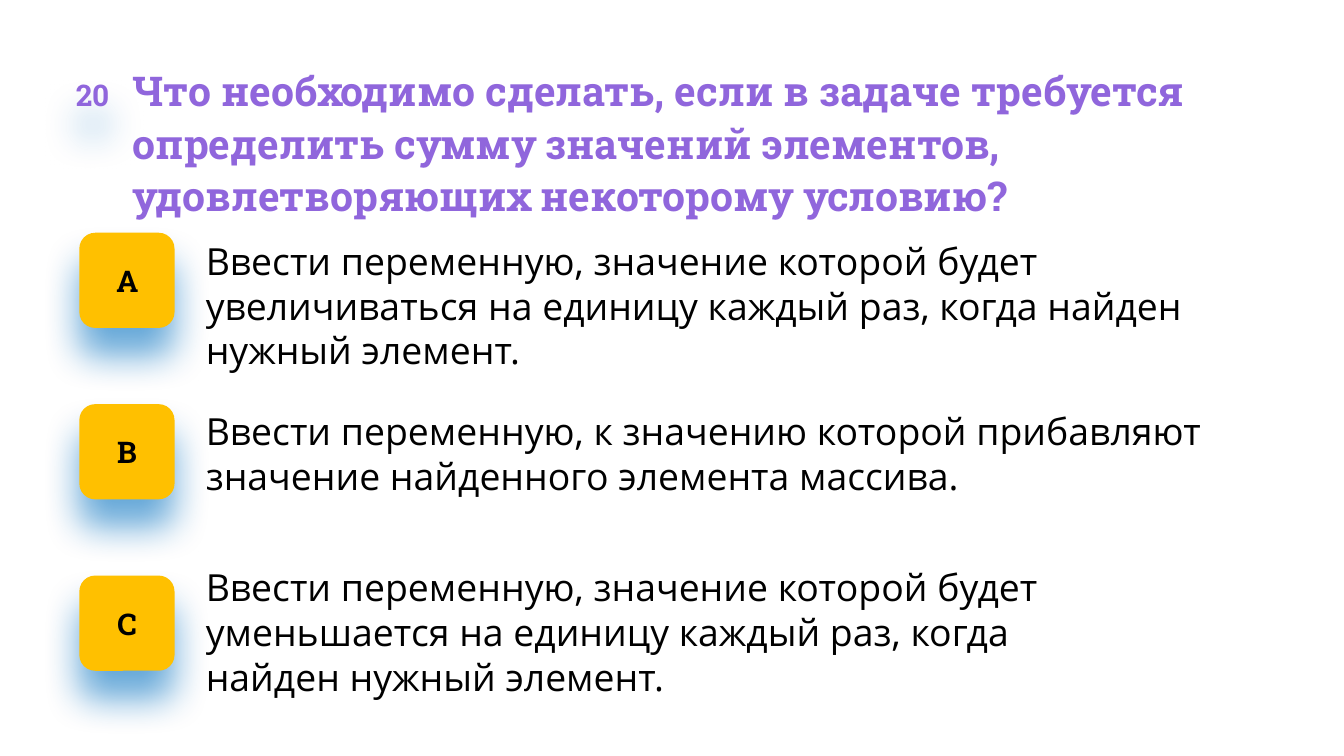
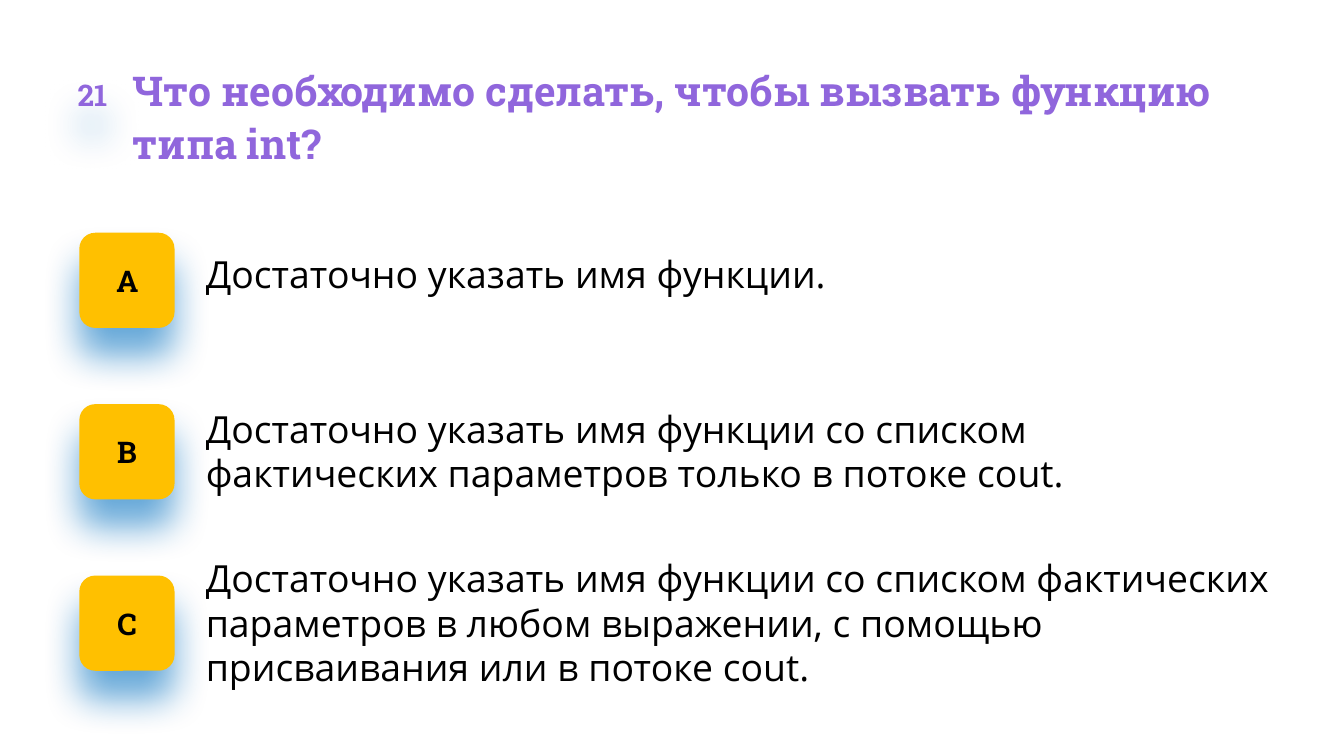
from lxml import etree
from pptx import Presentation
from pptx import util as u
from pptx.dml.color import RGBColor
from pptx.enum import shapes, text
from pptx.oxml import ns

COLORS = {
    "accent": "9066DC",
    "badge": "FFC000",
    "shadow": "0070C0",
    "text": "000000",
}
HEAD_FONT = "Roboto Slab"
BODY_FONT = "Open Sans"
BADGE_LEFT, BADGE_TOP, BADGE_SIZE, BADGE_PITCH = 1.5, 4.4, 1.8, 3.24
LETTERS = "АBC"
TITLE_LINE, ANSWER_LINE = 0.98, 0.86

QUESTIONS = [
    {
        "number": "20",
        "title": ("Что необходимо сделать, если в задаче требуется определить сумму "
                  "значений элементов, удовлетворяющих некоторому условию?", 3),
        "answers": [
            ("Ввести переменную, значение которой будет увеличиваться на единицу "
             "каждый раз, когда найден нужный элемент.", 4.5, 21.08, 3),
            ("Ввести переменную, к значению которой прибавляют значение найденного "
             "элемента массива.", 7.72, 20.37, 2),
            ("Ввести переменную, значение которой будет уменьшается на единицу "
             "каждый раз, когда найден нужный элемент.", 10.67, 17.86, 3),
        ],
    },
    {
        "number": "21",
        "title": ("Что необходимо сделать, чтобы вызвать функцию типа int?", 2),
        "answers": [
            ("Достаточно указать имя функции.", 4.75, 21.08, 1),
            ("Достаточно указать имя функции со списком фактических параметров "
             "только в потоке cout.", 7.67, 20.37, 2),
            ("Достаточно указать имя функции со списком фактических параметров в "
             "любом выражении, c помощью присваивания или в потоке cout.", 10.49, 21.08, 3),
        ],
    },
]


def write(tf, content, *, size, font, color, bold=False, align=None, spacing=None,
          anchor=text.MSO_ANCHOR.TOP, inset=0):
    tf.word_wrap = True
    tf.vertical_anchor = anchor
    tf.margin_left = u.Cm(inset)
    tf.margin_top = tf.margin_right = tf.margin_bottom = 0
    p = tf.paragraphs[0]
    p.alignment = align
    p.line_spacing = spacing
    r = p.add_run()
    r.text = content
    r.font.size = u.Pt(size)
    r.font.name = font
    r.font.bold = bold
    r.font.color.rgb = RGBColor.from_string(COLORS[color])


class Quiz:
    def __init__(self, prs):
        self.prs = prs
        self.s = None

    def new_slide(self):
        self.s = self.prs.slides.add_slide(self.prs.slide_layouts[6])

    def box(self, content, left, top, width, height, **fmt):
        sp = self.s.shapes.add_textbox(u.Cm(left), u.Cm(top), u.Cm(width), u.Cm(height))
        write(sp.text_frame, content, **fmt)
        sp.text_frame.auto_size = text.MSO_AUTO_SIZE.SHAPE_TO_FIT_TEXT

    def title(self, content, lines):
        self.box(content, 2.51, 1.19, 22.38, lines * TITLE_LINE,
                 size=22, font=HEAD_FONT, color="accent", bold=True, spacing=1.06)

    def answer(self, content, top, width, lines):
        self.box(content, 3.53, top, width, lines * ANSWER_LINE,
                 size=20, font=BODY_FONT, color="text", inset=0.36)

    def tile(self, content, left, top, size, color, fill=None):
        sp = self.s.shapes.add_shape(shapes.MSO_SHAPE.ROUNDED_RECTANGLE,
                                     u.Cm(left), u.Cm(top), u.Cm(size), u.Cm(size))
        sp.line.fill.background()
        if fill:
            sp.fill.solid()
            sp.fill.fore_color.rgb = RGBColor.from_string(COLORS[fill])
        else:
            sp.fill.background()
        self.glow(sp)
        write(sp.text_frame, content, size=16, font=HEAD_FONT, color=color, bold=True,
              align=text.PP_ALIGN.CENTER, anchor=text.MSO_ANCHOR.MIDDLE)

    def glow(self, sp):
        sp.shadow.inherit = False
        effects = sp._element.spPr.find(ns.qn("a:effectLst"))
        shadow = etree.SubElement(effects, ns.qn("a:outerShdw"), blurRad=str(u.Pt(20)),
                                  dist=str(u.Pt(15)), dir="5400000", algn="t",
                                  rotWithShape="0")
        color = etree.SubElement(shadow, ns.qn("a:srgbClr"), val=COLORS["shadow"])
        etree.SubElement(color, ns.qn("a:alpha"), val="60000")

    def question(self, number, title, answers):
        self.new_slide()
        self.title(*title)
        self.tile(number, 1, 1.04, 1.5, "accent")
        for i, letter in enumerate(LETTERS):
            self.tile(letter, BADGE_LEFT, BADGE_TOP + i * BADGE_PITCH, BADGE_SIZE,
                      "text", fill="badge")
        for answer in answers:
            self.answer(*answer)


def main():
    prs = Presentation()
    prs.slide_width, prs.slide_height = u.Cm(25.4), u.Cm(14.29)
    quiz = Quiz(prs)
    for question in QUESTIONS:
        quiz.question(**question)
    prs.save("out.pptx")


if __name__ == "__main__":
    main()
